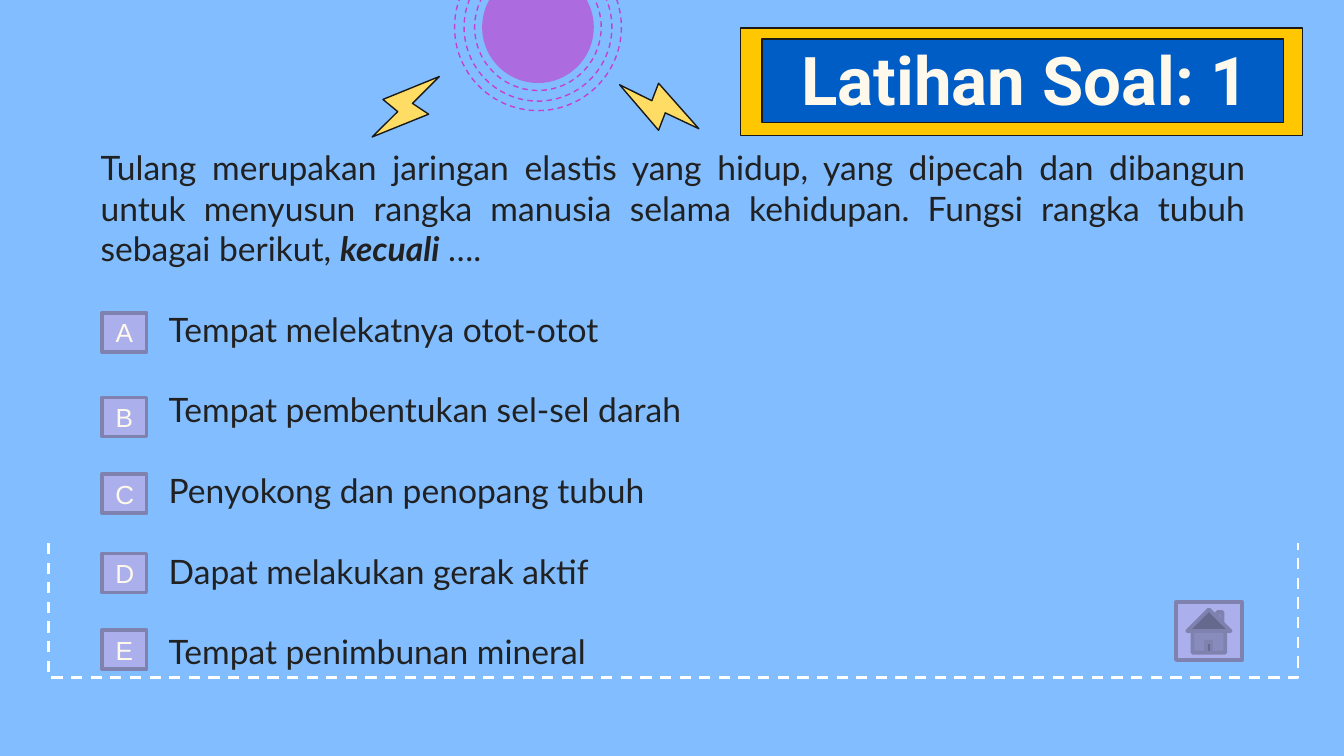
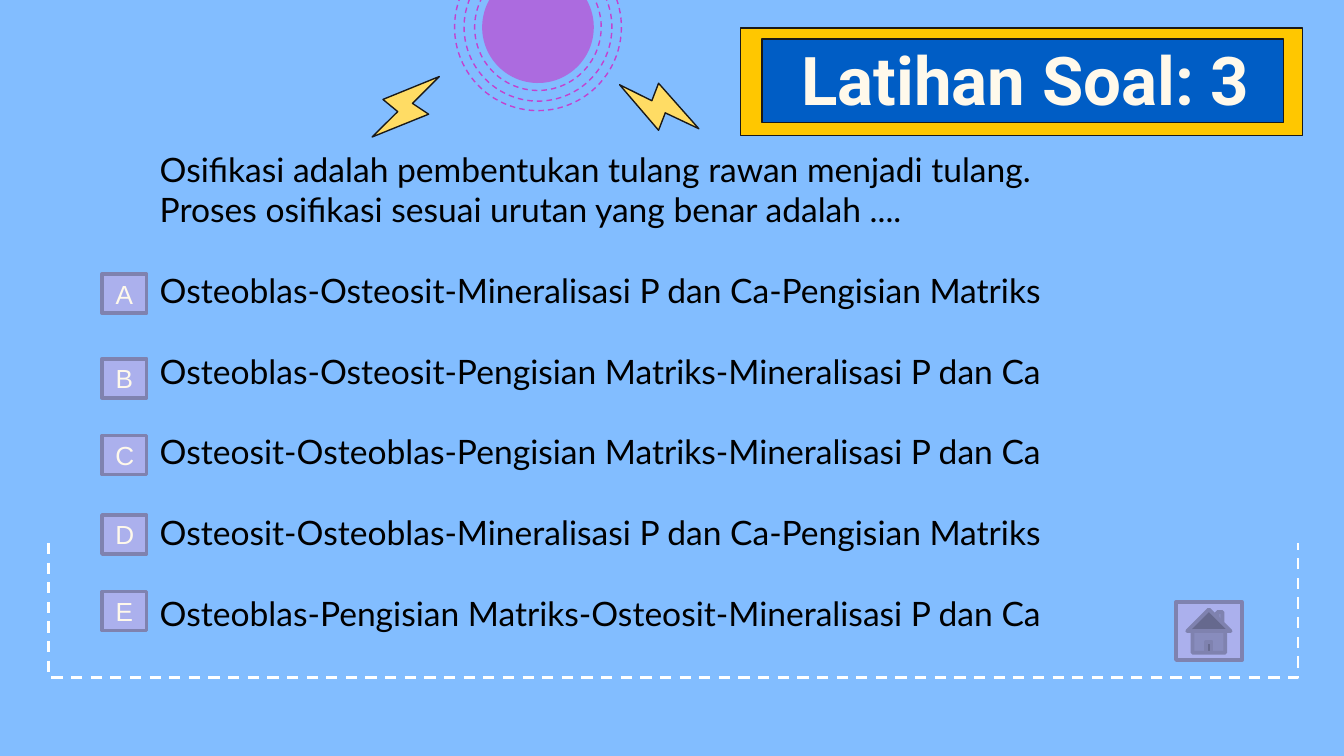
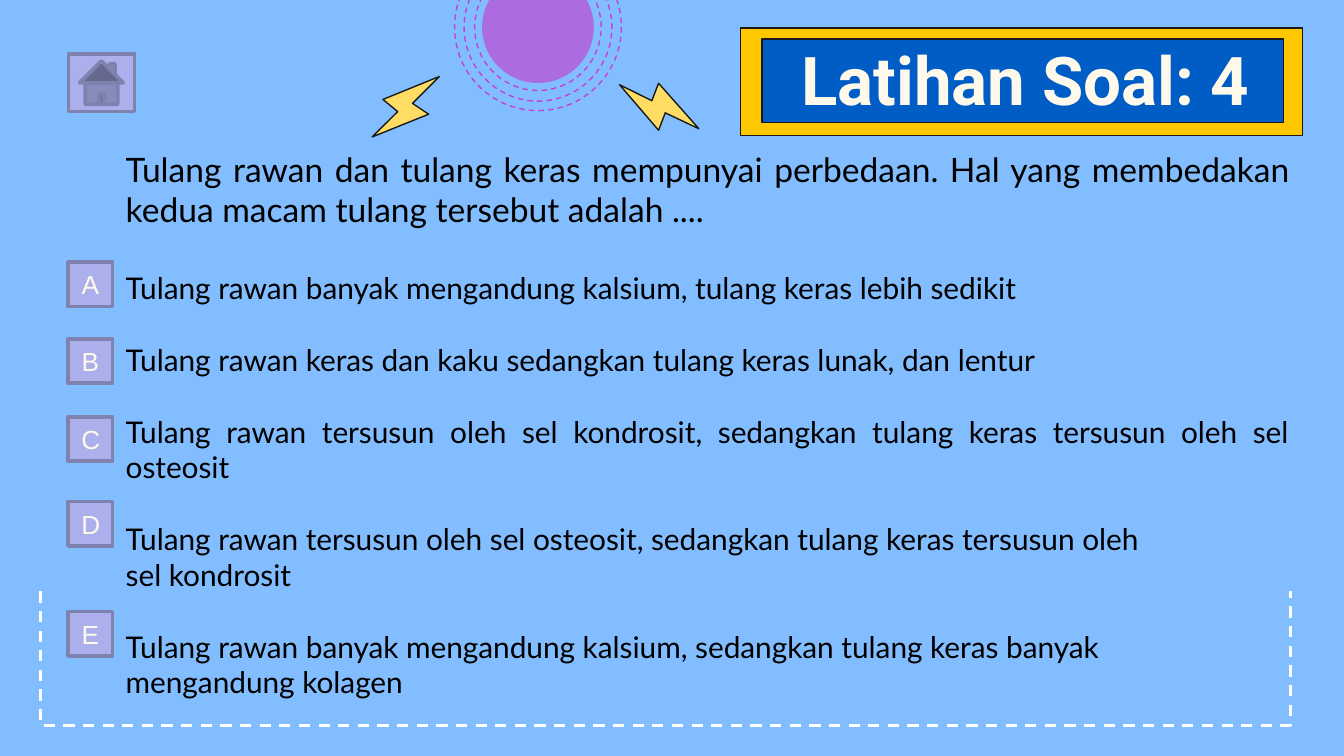
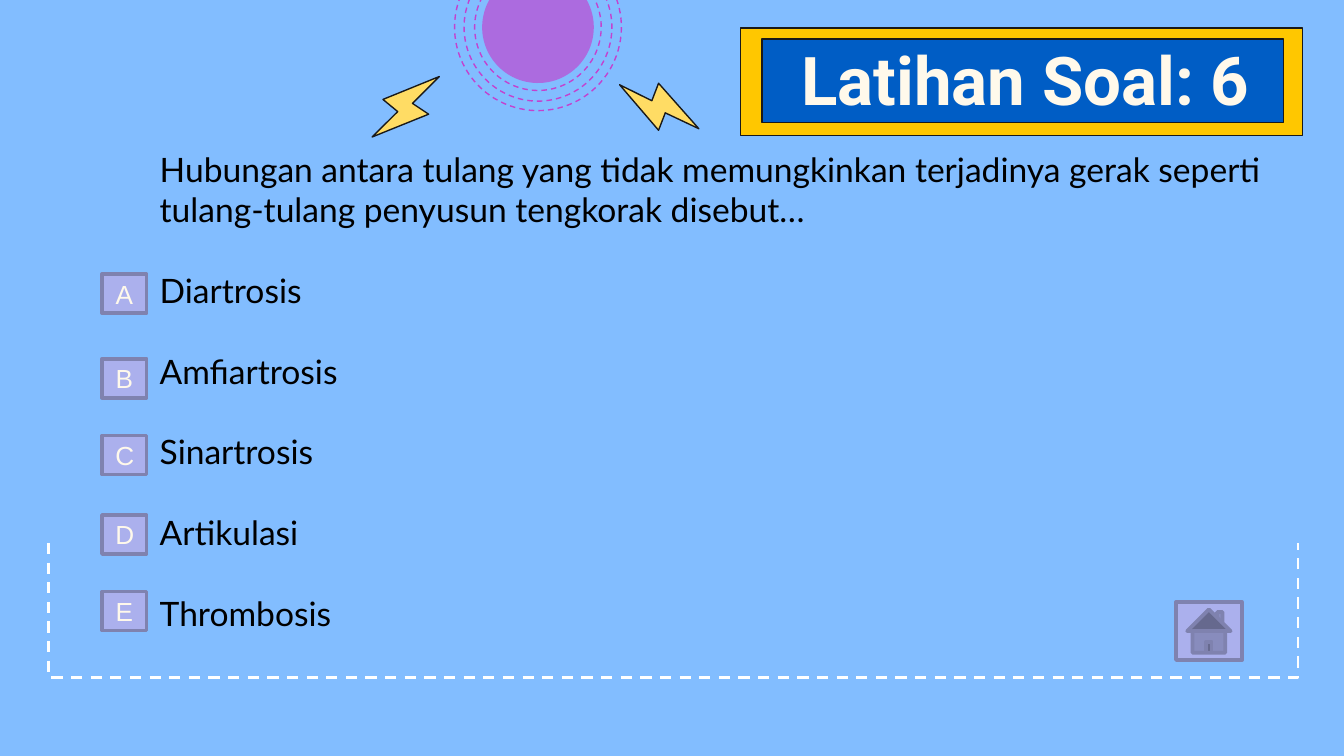
from pptx import Presentation
from pptx.dml.color import RGBColor
from pptx.enum.dml import MSO_LINE
from pptx.enum.shapes import MSO_SHAPE
from pptx.enum.text import MSO_ANCHOR, MSO_AUTO_SIZE, PP_ALIGN
from pptx.oxml.ns import qn
from pptx.util import Pt
from lxml.etree import SubElement

SKY = RGBColor(0x82, 0xBD, 0xFF)
MAGENTA = RGBColor(0xC3, 0x41, 0xCF)
YELLOW = RGBColor(0xFF, 0xDC, 0x64)
GOLD = RGBColor(0xFF, 0xC7, 0x00)
BLUE = RGBColor(0x00, 0x5D, 0xC5)
INK = RGBColor(0x19, 0x19, 0x19)
CHARCOAL = RGBColor(0x21, 0x21, 0x21)
BLACK = RGBColor(0, 0, 0)
WHITE = RGBColor(0xFF, 0xFF, 0xFF)
CREAM = RGBColor(0xFF, 0xF9, 0xEB)
LILAC = RGBColor(0xAB, 0xB0, 0xED)
PURPLE = RGBColor(0x7F, 0x82, 0xAF)

TITLE_FONT = {"name": "Roboto", "size": Pt(36), "bold": True}
LETTER_FONT = {"name": "Arial", "size": Pt(14)}
EMPHASIS = {"bold": True, "italic": True}
LINE_SPACING = 1.2

STANDARD = {
    "color": BLACK,
    "answer_size": 18,
    "indent": 0,
    "button_left": 54.7,
    "button_size": (23.8, 20.9),
    "button_top": 146.9,
    "button_steps": (0, 45.3, 86.4, 129, 170),
    "home": (630, 322.6),
    "frame": (25.9, 290.9),
}

QUESTIONS = [
    {
        "number": 1,
        "question": [
            "Tulang merupakan jaringan elastis yang hidup, yang dipecah dan dibangun "
            "untuk menyusun rangka manusia selama kehidupan. Fungsi rangka tubuh "
            "sebagai berikut, **kecuali** …."
        ],
        "answers": [
            ["Tempat melekatnya otot-otot"],
            ["Tempat pembentukan sel-sel darah"],
            ["Penyokong dan penopang tubuh"],
            ["Dapat melakukan gerak aktif"],
            ["Tempat penimbunan mineral"],
        ],
        "box": (46.8, 75.4, 627.8, 290.9),
        "color": CHARCOAL,
        "indent": 36.5,
        "button_top": 167.6,
    },
    {
        "number": 3,
        "question": [
            "Osifikasi adalah pembentukan tulang rawan menjadi tulang.",
            "Proses osifikasi sesuai urutan yang benar adalah ....",
        ],
        "answers": [
            ["Osteoblas-Osteosit-Mineralisasi P dan Ca-Pengisian Matriks"],
            ["Osteoblas-Osteosit-Pengisian Matriks-Mineralisasi P dan Ca"],
            ["Osteosit-Osteoblas-Pengisian Matriks-Mineralisasi P dan Ca"],
            ["Osteosit-Osteoblas-Mineralisasi P dan Ca-Pengisian Matriks"],
            ["Osteoblas-Pengisian Matriks-Osteosit-Mineralisasi P dan Ca"],
        ],
        "box": (78.5, 76.3, 597.6, 269.3),
    },
    {
        "number": 4,
        "question": [
            "Tulang rawan dan tulang keras mempunyai perbedaan. Hal yang membedakan "
            "kedua macam tulang tersebut adalah ...."
        ],
        "answers": [
            ["Tulang rawan banyak mengandung kalsium, tulang keras lebih sedikit"],
            ["Tulang rawan keras dan kaku sedangkan tulang keras lunak, dan lentur"],
            ["Tulang rawan tersusun oleh sel kondrosit, sedangkan tulang keras "
             "tersusun oleh sel osteosit"],
            ["Tulang rawan tersusun oleh sel osteosit, sedangkan tulang keras "
             "tersusun oleh", "sel kondrosit"],
            ["Tulang rawan banyak mengandung kalsium, sedangkan tulang keras banyak",
             "mengandung kolagen"],
        ],
        "box": (60.3, 76.3, 637.9, 285.8),
        "answer_size": 16,
        "button_left": 36.5,
        "button_size": (23.8, 23.8),
        "button_top": 140.4,
        "button_steps": (0, 41.2, 82.9, 128.3, 187.2),
        "home": (36.7, 28.8),
        "frame": (21.8, 316.8),
    },
    {
        "number": 6,
        "question": [
            "Hubungan antara tulang yang tidak memungkinkan terjadinya gerak seperti",
            "tulang-tulang penyusun tengkorak disebut…",
        ],
        "answers": [["Diartrosis"], ["Amfiartrosis"], ["Sinartrosis"],
                    ["Artikulasi"], ["Thrombosis"]],
        "box": (78.5, 76.3, 627.8, 290.9),
    },
]

SUN_CENTER = (288.2, 14.6)
RING_DIAMETERS = (89.4, 79.2, 67.8)
SUN_DIAMETER = 59.8
BOLTS = [
    [(199.4, 73.4), (229.7, 61.2), (221, 55.4), (235.4, 41), (205.2, 53.3), (213.1, 59.8)],
    [(331.9, 45.4), (352.8, 69.8), (356.4, 60.5), (374.4, 69), (352.8, 44.6), (349.2, 54)],
]
BANNER = [((396.7, 15.1, 301, 57.6), GOLD), ((408.2, 20.9, 279.4, 44.9), BLUE)]
TITLE_BOX = (392.4, 25.2, 313.9, 33.8)
FRAME_WIDTH, FRAME_HEIGHT = 669.4, 72
HOME_SIZE = (35.3, 31)


def points(values):
    return [Pt(value) for value in values]


def style_shape(shape, fill=None, line=None, width=0.75, dashed=False):
    shape.shadow.inherit = False
    for part, color in ((shape.fill, fill), (shape.line.fill, line)):
        if color is None:
            part.background()
        else:
            part.solid()
            part.fore_color.rgb = color
    if line is not None:
        shape.line.width = Pt(width)
        if dashed:
            shape.line.dash_style = MSO_LINE.DASH
    return shape


def add_preset(slide, kind, box, **style):
    return style_shape(slide.shapes.add_shape(kind, *points(box)), **style)


def add_outline(slide, vertices, closed, **style):
    start, *others = [points(vertex) for vertex in vertices]
    builder = slide.shapes.build_freeform(*start, scale=1.0)
    builder.add_line_segments(others, close=closed)
    return style_shape(builder.convert_to_shape(), **style)


def add_run(paragraph, text, formats, color):
    run = paragraph.add_run()
    run.text = text
    for name, value in formats.items():
        setattr(run.font, name, value)
    run.font.color.rgb = color


def write_centred(shape, text, formats):
    frame = shape.text_frame
    frame.word_wrap = True
    frame.vertical_anchor = MSO_ANCHOR.MIDDLE
    paragraph = frame.paragraphs[0]
    paragraph.alignment = PP_ALIGN.CENTER
    add_run(paragraph, text, formats, CREAM)
    return frame


def add_circle(slide, diameter, **style):
    left, top = (center - diameter / 2 for center in SUN_CENTER)
    circle = add_preset(slide, MSO_SHAPE.OVAL, (left, top, diameter, diameter), **style)
    circle.rotation = 87.4
    return circle


def add_decoration(slide):
    slide.background.fill.solid()
    slide.background.fill.fore_color.rgb = SKY
    for diameter in RING_DIAMETERS:
        add_circle(slide, diameter, line=MAGENTA, dashed=True)
    sun = add_circle(slide, SUN_DIAMETER, fill=MAGENTA)
    sun_color = sun._element.spPr.find(qn("a:solidFill")).find(qn("a:srgbClr"))
    SubElement(sun_color, qn("a:alpha")).set("val", "66000")
    for bolt in BOLTS:
        add_outline(slide, bolt, True, fill=YELLOW, line=INK)
    for box, color in BANNER:
        add_preset(slide, MSO_SHAPE.RECTANGLE, box, fill=color, line=INK)


def add_frame(slide, left, top):
    right, bottom = left + FRAME_WIDTH, top + FRAME_HEIGHT
    corners = [(left, top), (left, bottom), (right, bottom), (right, top)]
    add_outline(slide, corners, False, line=WHITE, width=1.5, dashed=True)


def add_title(slide, number):
    title = slide.shapes.add_textbox(*points(TITLE_BOX))
    frame = write_centred(title, f"Latihan Soal: {number}", TITLE_FONT)
    for side in ("left", "right", "top", "bottom"):
        setattr(frame, f"margin_{side}", Pt(7.2))


def add_question(slide, item):
    frame = slide.shapes.add_textbox(*points(item["box"])).text_frame
    frame.word_wrap = True
    frame.auto_size = MSO_AUTO_SIZE.SHAPE_TO_FIT_TEXT
    size = item["answer_size"]
    gap = 18 * LINE_SPACING
    lines = [(line, 18, 0, 0) for line in item["question"]]
    for answer in item["answers"]:
        for position, line in enumerate(answer):
            lines.append((line, size, 0 if position else gap, item["indent"]))
        gap = size * LINE_SPACING
    for position, (line, size, space, indent) in enumerate(lines):
        paragraph = frame.add_paragraph() if position else frame.paragraphs[0]
        paragraph.alignment = PP_ALIGN.JUSTIFY
        paragraph.space_before = Pt(space)
        if indent:
            paragraph._p.get_or_add_pPr().set("marL", str(Pt(indent)))
        for part, text in enumerate(line.split("**")):
            formats = {"name": "Lato", "size": Pt(size), **(EMPHASIS if part % 2 else {})}
            add_run(paragraph, text, formats, item["color"])


def add_buttons(slide, item):
    button_style = {"fill": LILAC, "line": PURPLE, "width": 2}
    for letter, step in zip("ABCDE", item["button_steps"]):
        box = (item["button_left"], item["button_top"] + step, *item["button_size"])
        button = add_preset(slide, MSO_SHAPE.ACTION_BUTTON_CUSTOM, box, **button_style)
        write_centred(button, letter, LETTER_FONT)
    add_preset(slide, MSO_SHAPE.ACTION_BUTTON_HOME, (*item["home"], *HOME_SIZE), **button_style)


def main():
    presentation = Presentation()
    presentation.slide_width, presentation.slide_height = Pt(720), Pt(405)
    for question in QUESTIONS:
        item = {**STANDARD, **question}
        slide = presentation.slides.add_slide(presentation.slide_layouts[6])
        add_decoration(slide)
        add_frame(slide, *item["frame"])
        add_title(slide, item["number"])
        add_question(slide, item)
        add_buttons(slide, item)
    presentation.save("out.pptx")


if __name__ == "__main__":
    main()
